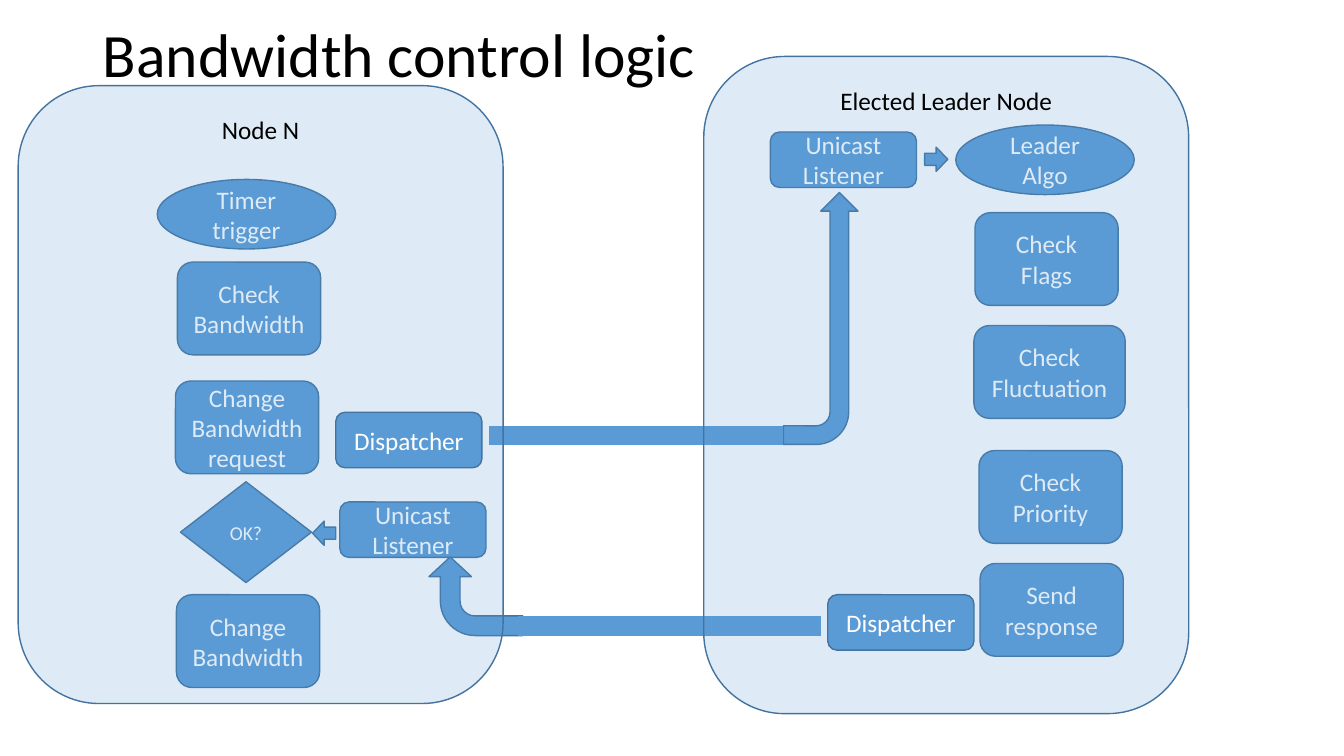
import pptx
import pptx.util
import pptx.dml.color
import pptx.enum.shapes
import pptx.enum.text
import pptx.oxml
import pptx.oxml.ns
from lxml import etree

Inches = pptx.util.Inches
Pt = pptx.util.Pt
SHAPE = pptx.enum.shapes.MSO_SHAPE
ANCHOR = pptx.enum.text.MSO_ANCHOR
ALIGN = pptx.enum.text.PP_ALIGN

COLORS = {"blue": "5B9BD5", "outline": "43739E", "white": "FFFFFF", "black": "000000"}
FONT = "Calibri"
STEP_SIZE = (1.42, 0.92)
ENDPOINT_SIZE = (1.45, 0.55)
OVAL_SIZE = (1.77, 0.69)
SMALL_ARROW_SIZE = (0.23, 0.24)


def color(name):
    return pptx.dml.color.RGBColor.from_string(COLORS[name])


def format_text(text_frame, size, color_name, alignment):
    for paragraph in text_frame.paragraphs:
        paragraph.alignment = alignment
        paragraph.font.name = FONT
        paragraph.font.size = Pt(size)
        paragraph.font.color.rgb = color(color_name)


def add_title(slide, text):
    title = slide.shapes.title
    title.left, title.top = Inches(0.92), Inches(0.13)
    title.width, title.height = Inches(11.5), Inches(0.88)
    title.text_frame.text = text
    title.text_frame.vertical_anchor = ANCHOR.MIDDLE
    title.text_frame.paragraphs[0].line_spacing = 0.9
    format_text(title.text_frame, 44, "black", ALIGN.LEFT)


def add_block(slide, kind, left, top, size, text="", font_size=18, rotation=0):
    width, height = size
    shape = slide.shapes.add_shape(
        kind, Inches(left), Inches(top), Inches(width), Inches(height))
    shape.shadow.inherit = False
    shape.rotation = rotation
    shape.fill.solid()
    shape.fill.fore_color.rgb = color("blue")
    shape.line.color.rgb = color("outline")
    shape.line.width = Pt(1)
    if text:
        shape.text_frame.text = text
        shape.text_frame.word_wrap = True
        shape.text_frame.vertical_anchor = ANCHOR.MIDDLE
        format_text(shape.text_frame, font_size, "white", ALIGN.CENTER)
    return shape


def add_node_panel(slide, left, top, height, text):
    panel = add_block(slide, SHAPE.ROUNDED_RECTANGLE, left, top, (4.81, height), text)
    panel.text_frame.vertical_anchor = ANCHOR.TOP
    format_text(panel.text_frame, 18, "black", ALIGN.CENTER)
    # Translucent fill lets the blocks underneath show through
    fill_color = panel.fill._xPr.find(".//" + pptx.oxml.ns.qn("a:srgbClr"))
    etree.SubElement(fill_color, pptx.oxml.ns.qn("a:alpha")).set("val", "20000")


def add_link(slide, start, end, y, width):
    link = slide.shapes.add_connector(
        pptx.enum.shapes.MSO_CONNECTOR.STRAIGHT,
        Inches(start), Inches(y), Inches(end), Inches(y))
    link.line.color.rgb = color("blue")
    link.line.width = Pt(width)
    etree.SubElement(link._element.spPr, pptx.oxml.ns.qn("a:effectLst"))


def main():
    presentation = pptx.Presentation()
    presentation.slide_width = Inches(13.33)
    presentation.slide_height = Inches(7.5)
    slide = presentation.slides.add_slide(presentation.slide_layouts[5])
    add_title(slide, "Bandwidth control logic")

    # Processing steps of both nodes
    for left, top, size, text in [
        (1.76, 2.6, STEP_SIZE, "Check Bandwidth"),
        (1.74, 3.78, STEP_SIZE, "Change Bandwidth\nrequest"),
        (1.75, 5.9, STEP_SIZE, "Change Bandwidth"),
        (3.37, 4.98, ENDPOINT_SIZE, "Unicast\nListener"),
        (7.64, 1.31, ENDPOINT_SIZE, "Unicast\nListener"),
        (9.67, 2.11, STEP_SIZE, "Check Flags"),
        (9.66, 3.23, (1.5, 0.92), "Check Fluctuation"),
        (9.71, 4.47, STEP_SIZE, "Check Priority"),
        (9.72, 5.59, STEP_SIZE, "Send response"),
    ]:
        add_block(slide, SHAPE.ROUNDED_RECTANGLE, left, top, size, text)

    # Triggers and decision
    add_block(slide, SHAPE.OVAL, 1.56, 1.78, OVAL_SIZE, "Timer trigger")
    add_block(slide, SHAPE.OVAL, 9.48, 1.24, OVAL_SIZE, "Leader\nAlgo")
    add_block(slide, SHAPE.DIAMOND, 1.79, 4.78, (1.3, 1), "OK?", 14)

    # Request and response paths between the nodes
    request_arrow = add_block(slide, SHAPE.BENT_ARROW, 6.89, 2.79, (2.5, 0.74), rotation=270)
    request_arrow._element.spPr.xfrm.set("flipV", "1")
    response_arrow = add_block(slide, SHAPE.BENT_ARROW, 4.33, 5.45, (0.78, 0.93), rotation=270)
    for index, value in enumerate((0.25, 0.27, 0.25, 0.44)):
        response_arrow.adjustments[index] = value
    add_link(slide, 4.85, 7.77, 4.32, 14)
    add_link(slide, 5.14, 8.14, 6.21, 14.75)

    # Short arrows out of the listeners
    add_block(slide, SHAPE.LEFT_ARROW, 3.1, 5.17, SMALL_ARROW_SIZE)
    add_block(slide, SHAPE.LEFT_ARROW, 9.17, 1.46, SMALL_ARROW_SIZE, rotation=180)

    # Node panels, with the dispatchers on top
    add_node_panel(slide, 0.18, 0.85, 6.13, "Node N")
    add_node_panel(slide, 6.98, 0.56, 6.52, "Elected Leader Node")
    for left, top in [(3.33, 4.09), (8.21, 5.9)]:
        add_block(slide, SHAPE.ROUNDED_RECTANGLE, left, top, ENDPOINT_SIZE, "Dispatcher")

    presentation.save("out.pptx")


if __name__ == "__main__":
    main()
